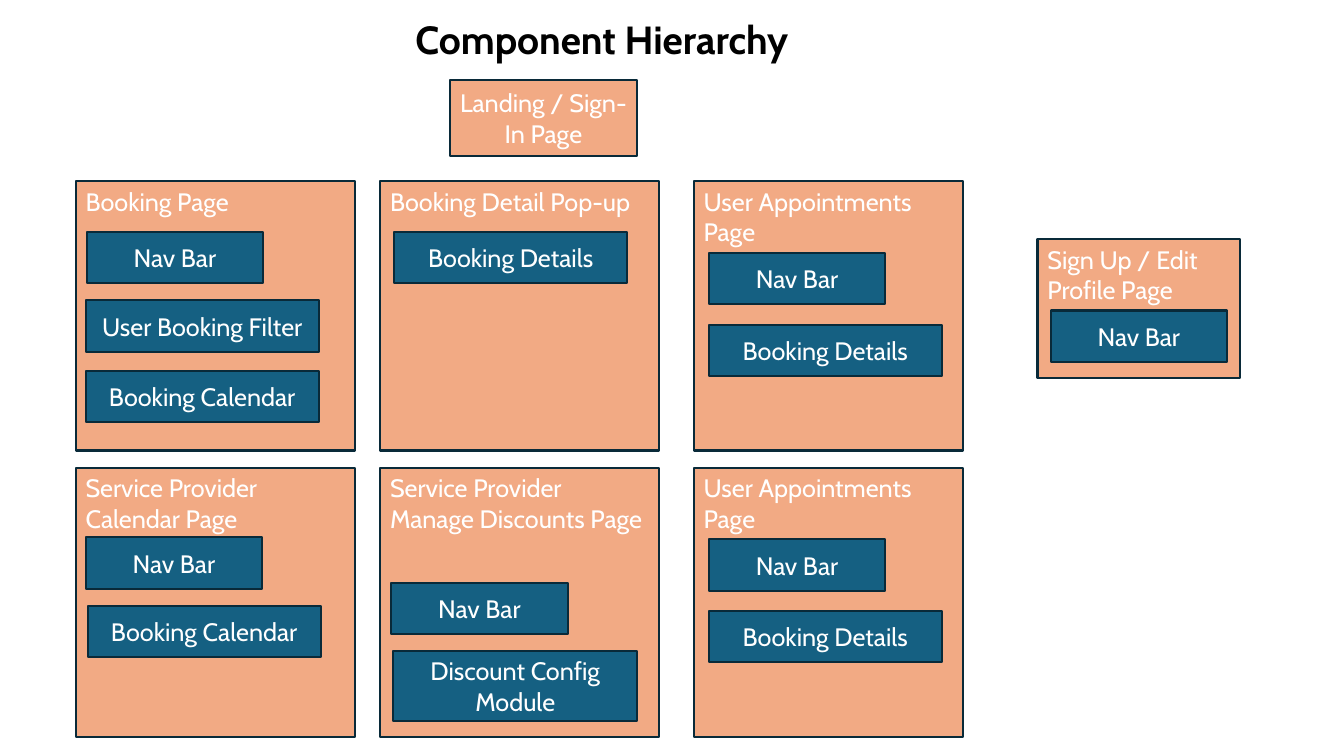
"""Build the component hierarchy slide."""
from pptx import Presentation
from pptx.dml.color import RGBColor
from pptx.enum.shapes import MSO_SHAPE as Shape
from pptx.enum.text import MSO_ANCHOR as Anchor, MSO_AUTO_SIZE as Fit, PP_ALIGN as Align
from pptx.util import Pt

PX = 9144
FONT = "Cabin"
PEACH = RGBColor(0xF2, 0xAA, 0x84)
TEAL = RGBColor(0x15, 0x60, 0x82)
NAVY = RGBColor(0x09, 0x2A, 0x39)
WHITE = RGBColor(0xFF, 0xFF, 0xFF)
BLACK = RGBColor(0x00, 0x00, 0x00)

NAV, PART, MODULE = (175, 51), (231, 51), (242, 69)
TOP, LOW = 180, 464
LEFT, MID, RIGHT = 75, 377, 688
WIDE, SLIM, SMALL = (277, 267), (267, 267), (201, 138)

VISITS = [("Nav Bar", 15, 71, NAV), ("Booking Details", 15, 142, PART)]
PAGES = [
    ("Booking Page", LEFT, TOP, WIDE, [
        ("Nav Bar", 11, 50, NAV),
        ("User Booking Filter", 10, 118, PART),
        ("Booking Calendar", 10, 188, PART)]),
    ("Booking Detail Pop-up", MID, TOP, WIDE, [
        ("Booking Details", 14, 50, PART)]),
    ("User Appointments Page", RIGHT, TOP, SLIM, VISITS),
    ("Sign Up / Edit Profile Page", 1029, 237, SMALL, [
        ("Nav Bar", 13, 71, NAV)]),
    ("Service Provider Calendar Page", LEFT, LOW, WIDE, [
        ("Nav Bar", 10, 69, NAV),
        ("Booking Calendar", 12, 137, PART)]),
    ("Service Provider Manage Discounts Page", MID, LOW, WIDE, [
        ("Nav Bar", 11, 114, NAV),
        ("Discount Config Module", 13, 182, MODULE)]),
    ("User Appointments Page", RIGHT, LOW, SLIM, VISITS),
]


class Board:
    def __init__(self, deck):
        self.slide = deck.slides.add_slide(deck.slide_layouts[5])

    def label(self, shape, text, size, color, align, anchor, bold=False):
        frame = shape.text_frame
        frame.text = text
        frame.word_wrap = True
        frame.auto_size = Fit.NONE
        frame.vertical_anchor = anchor
        line = frame.paragraphs[0]
        line.alignment = align
        font = line.runs[0].font
        font.name, font.size, font.bold = FONT, Pt(size), bold
        font.color.rgb = color

    def title(self, text, x, y, w, h):
        shape = self.slide.shapes.title
        shape.left, shape.top, shape.width, shape.height = (n * PX for n in (x, y, w, h))
        self.label(shape, text, 28, BLACK, Align.LEFT, Anchor.TOP, True)

    def box(self, text, x, y, size, fill, align=Align.CENTER, anchor=Anchor.MIDDLE):
        place = [n * PX for n in (x, y, *size)]
        shape = self.slide.shapes.add_shape(Shape.RECTANGLE, *place)
        shape.shadow.inherit = False
        shape.fill.solid()
        shape.fill.fore_color.rgb = fill
        shape.line.color.rgb = NAVY
        shape.line.width = Pt(1.5)
        self.label(shape, text, 18, WHITE, align, anchor)

    def page(self, name, x, y, size, parts):
        self.box(name, x, y, size, PEACH, Align.LEFT, Anchor.TOP)
        for text, dx, dy, area in parts:
            self.box(text, x + dx, y + dy, area, TEAL)


def main():
    deck = Presentation()
    deck.slide_width, deck.slide_height = 1333 * PX, 750 * PX
    board = Board(deck)
    board.title("Component Hierarchy", 402, 10, 414, 57)
    board.box("Landing / Sign-In Page", 446, 79, (186, 76), PEACH)
    for page in PAGES:
        board.page(*page)
    deck.save("out.pptx")


if __name__ == "__main__":
    main()
